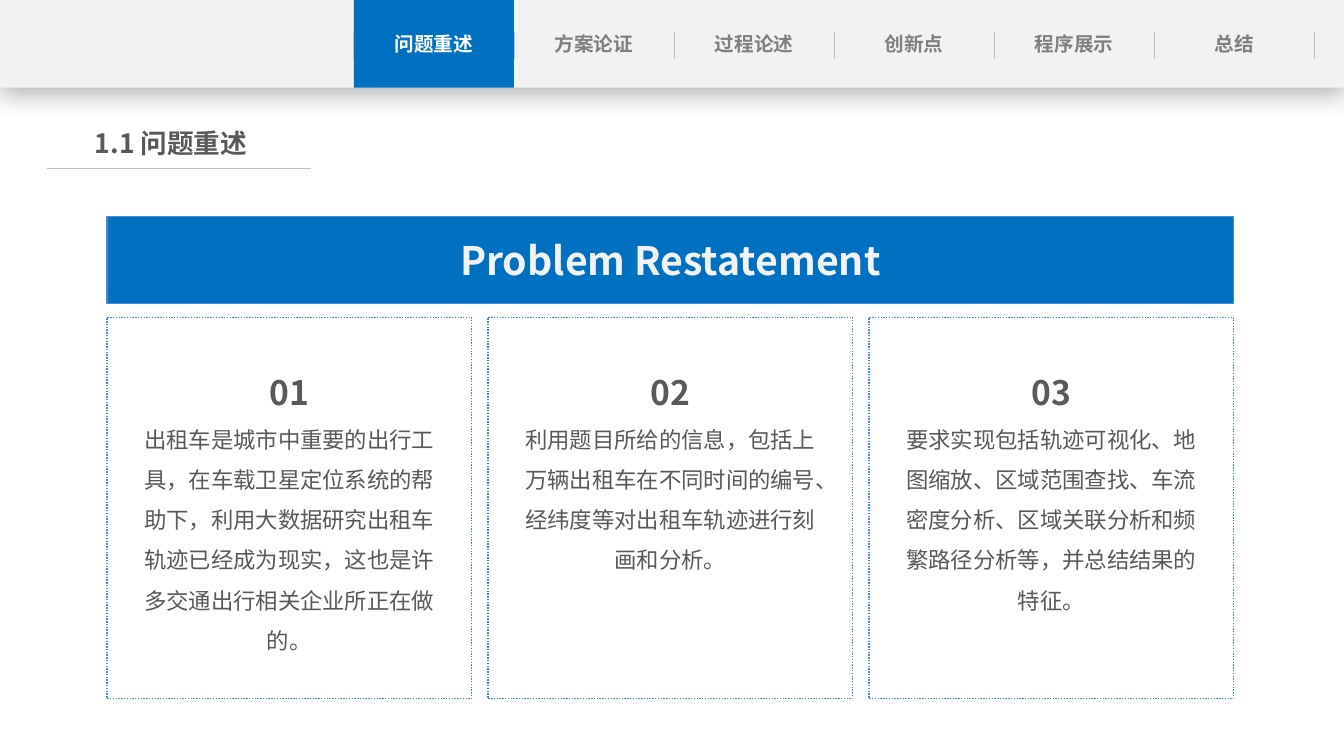
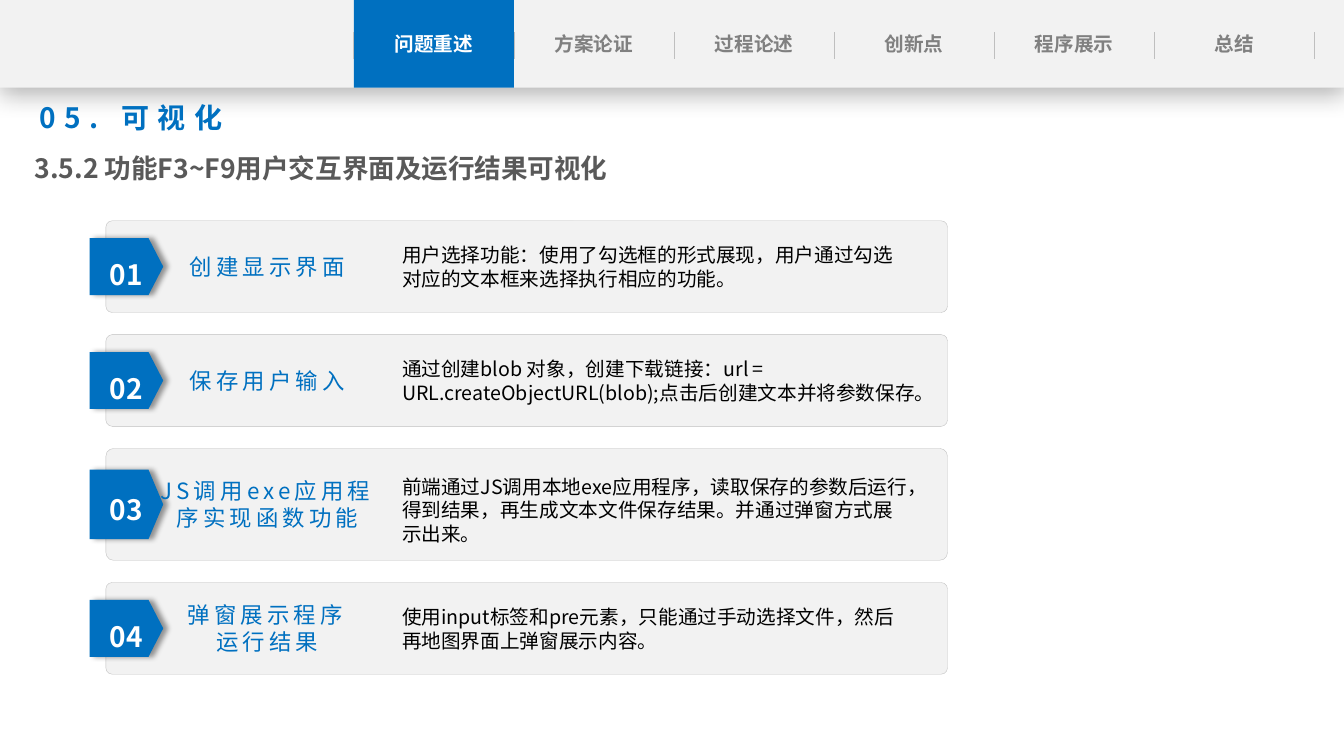
from dataclasses import dataclass

from lxml.etree import SubElement
from pptx import Presentation
from pptx.dml.color import RGBColor
from pptx.enum.dml import MSO_LINE
from pptx.enum.shapes import MSO_CONNECTOR, MSO_SHAPE
from pptx.enum.text import MSO_ANCHOR, MSO_AUTO_SIZE, PP_ALIGN
from pptx.oxml.ns import qn
from pptx.util import Inches, Pt


@dataclass(frozen=True)
class Theme:
    font: str = "Noto Sans CJK SC"
    blue: str = "0070C0"
    edge: str = "448AD7"
    pale: str = "F2F2F2"
    rule: str = "BFBFBF"
    mute: str = "808080"
    dark: str = "595959"
    black: str = "000000"
    white: str = "FFFFFF"
    small: int = 14
    body: int = 16
    title: int = 19
    head: int = 20
    count: int = 24
    hero: int = 28


look = Theme()
deck = Presentation()
deck.slide_width, deck.slide_height = Inches(13.33), Inches(7.5)


def draw(page, kind, at, fill=None, line=None, width=1, dash=None, shade=None):
    x, y, w, h = [
        round(part * size / 100)
        for part, size in zip(at, (deck.slide_width, deck.slide_height) * 2)
    ]
    if kind == "text":
        return page.shapes.add_textbox(x, y, w, h)
    if kind == "title":
        shape = page.shapes.title
        shape.left, shape.top, shape.width, shape.height = x, y, w, h
        return shape
    if kind == "line":
        shape = page.shapes.add_connector(MSO_CONNECTOR.STRAIGHT, x, y, x + w, y + h)
    else:
        shape = page.shapes.add_shape(kind, x, y, w, h)
        if fill:
            shape.fill.solid()
            shape.fill.fore_color.rgb = RGBColor.from_string(fill)
        else:
            shape.fill.background()
    if line:
        shape.line.color.rgb = RGBColor.from_string(line)
        shape.line.width = Pt(width)
        if dash:
            shape.line.dash_style = dash
    else:
        shape.line.fill.background()
    glow = SubElement(shape.element.spPr, qn("a:effectLst"))
    if shade:
        alpha, blur, far, turn = shade
        cast = SubElement(
            glow, qn("a:outerShdw"), blurRad=str(Pt(blur)), dist=str(Pt(far)),
            dir=str(turn * 60000), algn="ctr", rotWithShape="0",
        )
        tint = SubElement(cast, qn("a:srgbClr"), val=look.black)
        SubElement(tint, qn("a:alpha"), val=str(alpha * 1000))
    return shape


def write(shape, text, size=look.small, color=look.dark, bold=False,
          align=PP_ALIGN.CENTER, anchor=MSO_ANCHOR.TOP, pad=(7.2, 3.6),
          lead=None, space=0):
    frame = shape.text_frame
    frame.word_wrap = True
    frame.auto_size = MSO_AUTO_SIZE.NONE
    frame.vertical_anchor = anchor
    frame.margin_left = frame.margin_right = Pt(pad[0])
    frame.margin_top = frame.margin_bottom = Pt(pad[1])
    para = frame.add_paragraph() if frame.text else frame.paragraphs[0]
    para.alignment = align
    if lead:
        para.line_spacing = lead
    run = para.add_run()
    run.text = text
    run.font.size = Pt(size)
    run.font.bold = bold
    run.font.color.rgb = RGBColor.from_string(color)
    run.font.name = look.font
    props = run.font._element
    SubElement(props, qn("a:ea"), typeface=look.font)
    if space:
        props.set("spc", str(space * 100))


base = deck.slide_layouts[5]
first = deck.slides.add_slide(base)

tabs = ["问题重述", "方案论证", "过程论述", "创新点", "程序展示", "总结"]
start, step = 26.33, 11.91
draw(first, MSO_SHAPE.RECTANGLE, (0, 0, 100, 11.6), fill=look.pale,
     shade=(29, 18, 4, 90))
draw(first, MSO_SHAPE.RECTANGLE, (start, 0, step, 11.6), fill=look.blue)
for spot, name in enumerate(tabs):
    tab = draw(first, "text", (start + spot * step, 3.6, step, 4.5))
    write(tab, name, color=look.mute if spot else look.white, bold=True,
          pad=(0, 3.6))
for spot in range(len(tabs) + 1):
    draw(first, "line", (start + spot * step, 4.27, 0, 3.5), line=look.rule,
         width=0.5)

for mark, shape in enumerate(list(first.shapes)[1:], 100):
    shape.element.xpath(".//p:cNvPr")[0].set("id", str(mark))
    base.shapes.element.append(shape.element)

title = draw(first, "title", (2.25, 16.13, 20.93, 5.7))
write(title, "1.1 问题重述", size=look.title, bold=True, pad=(0, 3.6))
draw(first, "line", (3.5, 22.27, 19.65, 0), line=look.rule, width=0.5)

left, wide, card = 7.95, 83.85, 27.15
hero = draw(first, MSO_SHAPE.RECTANGLE, (left, 28.67, wide, 11.47),
            fill=look.blue, line=look.edge)
write(hero, "Problem Restatement", size=look.hero, color=look.pale, bold=True,
      anchor=MSO_ANCHOR.MIDDLE)

cards = [
    "出租车是城市中重要的出行工具，在车载卫星定位系统的帮助下，利用大数据研究出租车轨迹已经成为现实，这也是许多交通出行相关企业所正在做的。",
    "利用题目所给的信息，包括上万辆出租车在不同时间的编号、经纬度等对出租车轨迹进行刻画和分析。",
    "要求实现包括轨迹可视化、地图缩放、区域范围查找、车流密度分析、区域关联分析和频繁路径分析等，并总结结果的特征。",
]
for spot, text in enumerate(cards):
    x = left + spot * (wide - card) / (len(cards) - 1)
    draw(first, MSO_SHAPE.RECTANGLE, (x, 42, card, 50.4), line=look.edge,
         dash=MSO_LINE.ROUND_DOT)
    note = draw(first, "text", (x + 2.18, 46.53, 22.8, 39.7))
    write(note, f"{spot + 1:02}", size=look.count, bold=True, pad=(0, 0), lead=1.5)
    write(note, text, size=look.body, pad=(0, 0), lead=1.5)

second = deck.slides.add_slide(base)
title = draw(second, "title", (0, 19.47, 47.78, 5.6))
write(title, "3.5.2 功能F3~F9用户交互界面及运行结果可视化", size=look.title, bold=True)
head = draw(second, "text", (2.18, 12.67, 51.5, 5.9))
write(head, "05. 可视化", size=look.head, color=look.blue, bold=True,
      align=PP_ALIGN.LEFT, space=6)

rows = [
    (12.13, 15, 39.3, "创建显示界面",
     "用户选择功能：使用了勾选框的形式展现，用户通过勾选对应的文本框来选择执行相应的功能。"),
    (12.13, 15, 40.8, "保存用户输入",
     "通过创建blob 对象，创建下载链接：url = URL.createObjectURL(blob);点击后创建文本并将参数保存。"),
    (14.8, 17.85, 39.3, "JS调用exe应用程序实现函数功能",
     "前端通过JS调用本地exe应用程序，读取保存的参数后运行，得到结果，再生成文本文件保存结果。并通过弹窗方式展示出来。"),
    (12.13, 15, 39.3, "弹窗展示程序运行结果",
     "使用input标签和pre元素，只能通过手动选择文件，然后再地图界面上弹窗展示内容。"),
]
top, gap, long = 29.2, 2.93, 9.73
for spot, (high, span, room, name, text) in enumerate(rows, 1):
    panel = draw(second, MSO_SHAPE.ROUNDED_RECTANGLE, (7.88, top, 62.62, high),
                 fill=look.pale, line=look.rule, width=0.25)
    panel.adjustments[0] = 0.07
    thick = 0.62 * high * 9 / 16
    flag = draw(second, MSO_SHAPE.FLOWCHART_OFFPAGE_CONNECTOR,
                (9.41 - thick / 2, top + (high - long) / 2, thick, long),
                fill=look.blue, shade=(40, 4, 3, 0))
    flag.rotation = 270
    label = draw(second, "text", (19.9 - span / 2, top, span, high))
    write(label, name, size=look.body, color=look.blue,
          anchor=MSO_ANCHOR.MIDDLE, space=3)
    note = draw(second, "text", (29.18, top + 0.19 * high, room, 0.62 * high))
    write(note, text, color=look.black, align=PP_ALIGN.LEFT)
    count = draw(second, "text", (7.05, top + 0.35 * high, 4.73, 0.4 * high))
    write(count, f"{spot:02}", size=look.head, color=look.white, bold=True)
    top += high + gap

deck.save("out.pptx")
